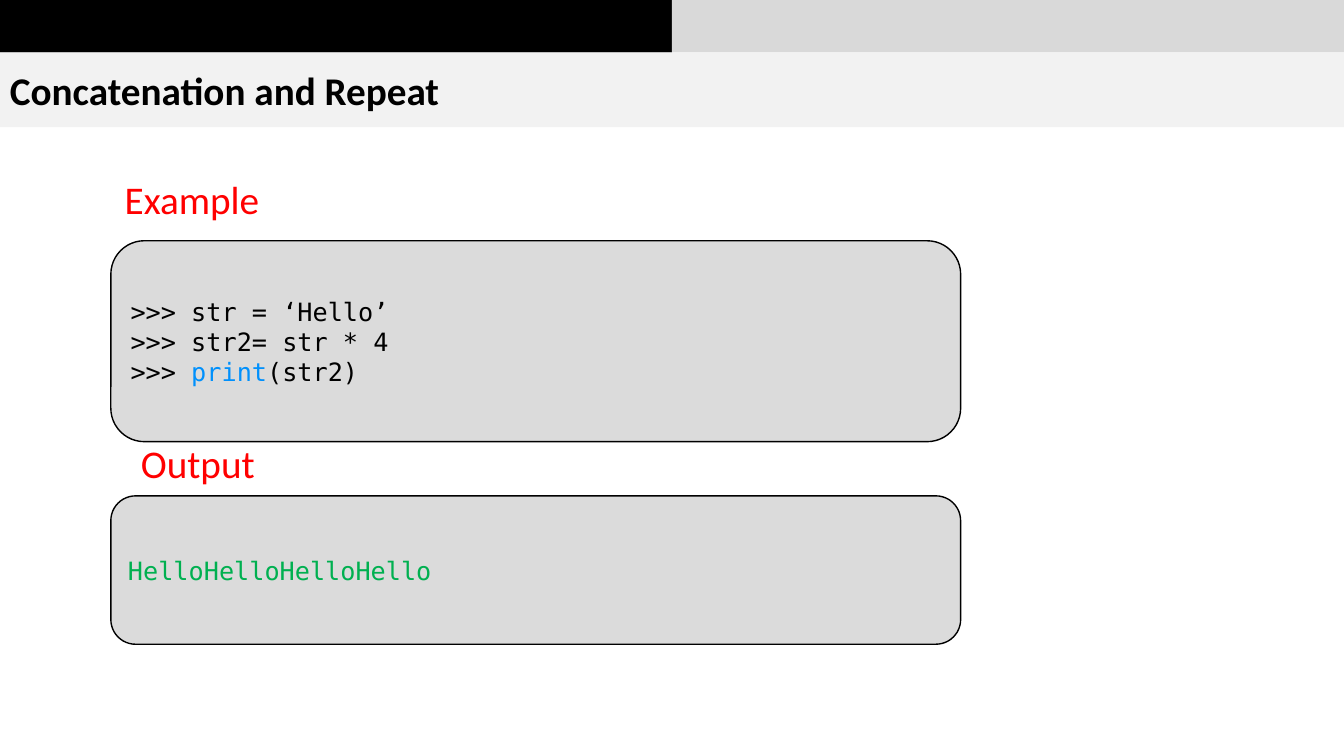
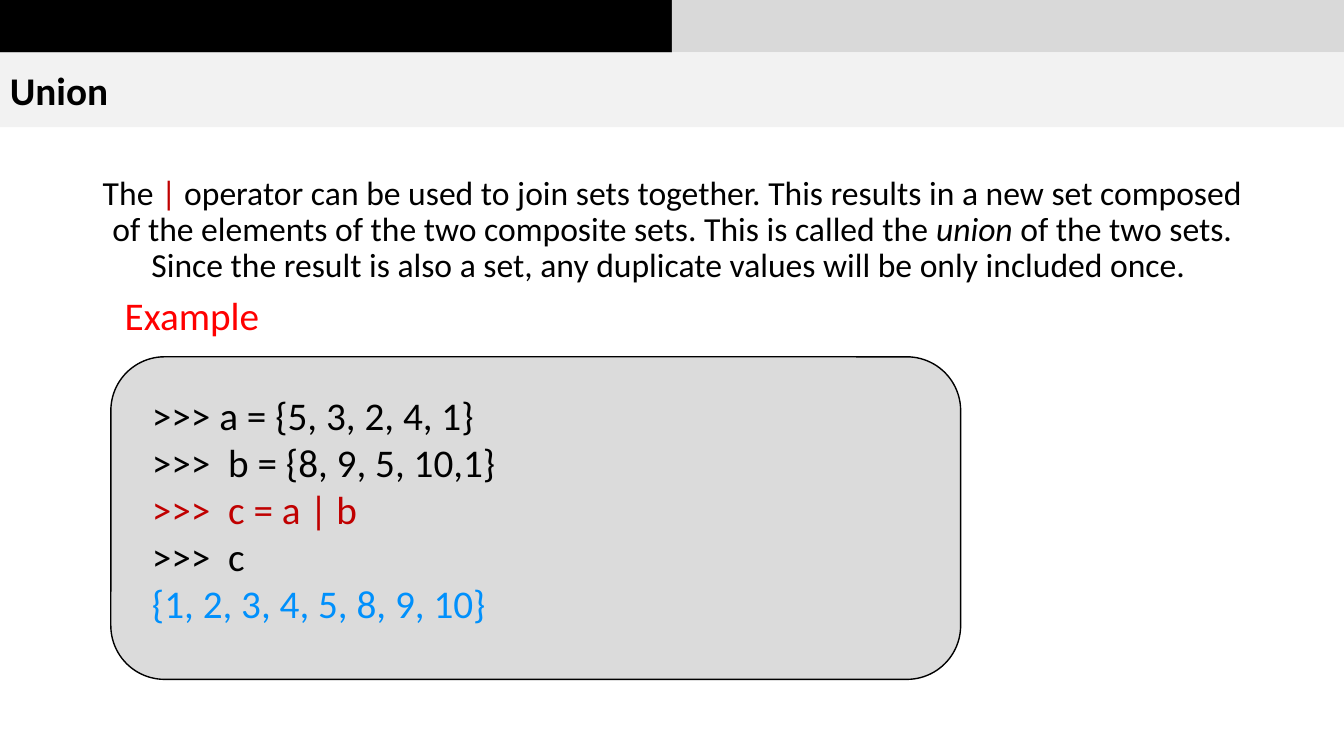
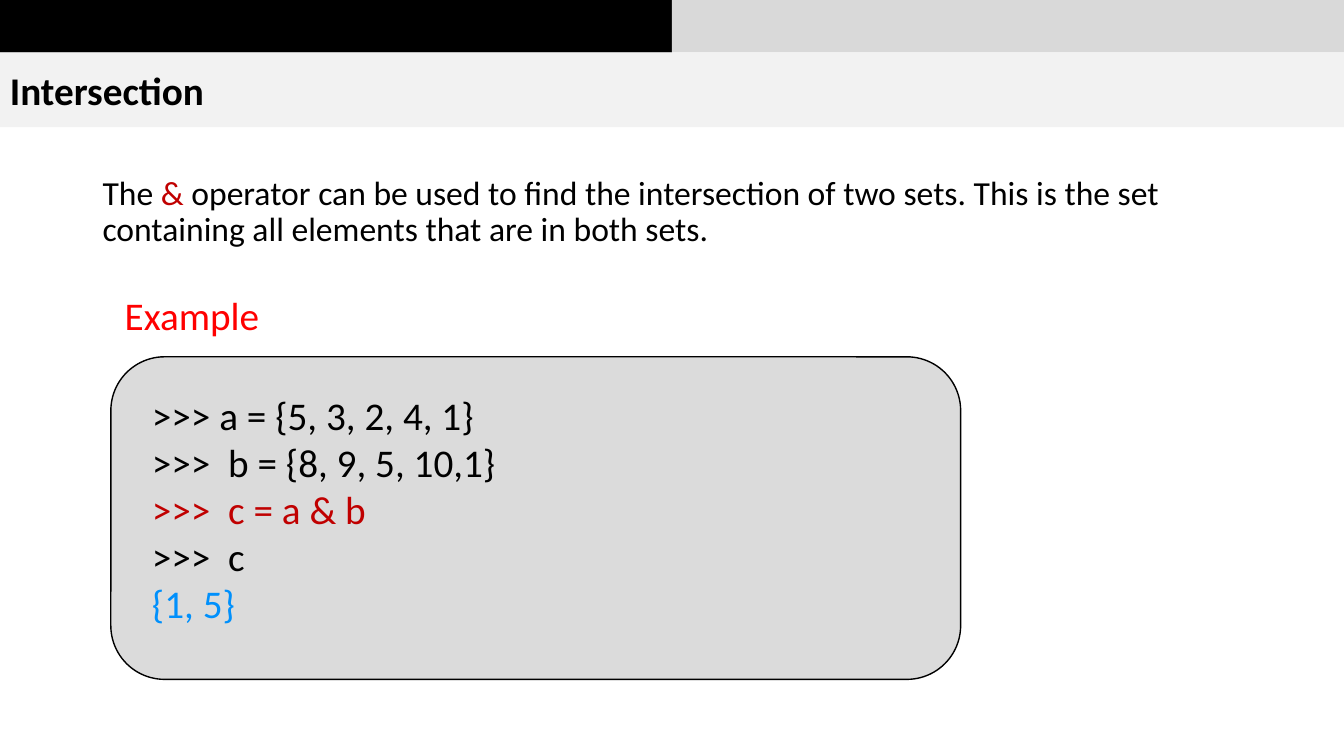
import pptx
import pptx.util
import pptx.dml.color
import pptx.enum.shapes
import pptx.enum.text

Pt = pptx.util.Pt
SHAPE = pptx.enum.shapes.MSO_SHAPE
ALIGN = pptx.enum.text.PP_ALIGN
ANCHOR = pptx.enum.text.MSO_ANCHOR

WIDTH, HEIGHT = 960, 540
BAND, HEAD = 37.5, 53.25
LEFT, WIDE = 79.2, 607
SANS, MONO = "Calibri", "DejaVu Sans Mono"
BLACK, SILVER, PALE, PANEL = "000000", "D9D9D9", "F2F2F2", "DBDBDB"
RED, DARK, BLUE, GREEN = "FF0000", "C00000", "0090FC", "00B050"

# A line is a list of runs: (text, colour) or (text, colour, italic).
REPEAT = [
    [(">>> str = ‘Hello’", BLACK)],
    [(">>> str2= str * 4", BLACK)],
    [(">>> ", BLACK), ("print", BLUE), ("(str2)", BLACK)],
]
PRINTED = [[("HelloHelloHelloHello", GREEN)]]

SETS = [
    {
        "title": "Union",
        "align": ALIGN.CENTER,
        "text": [
            ("The ", BLACK),
            ("|", DARK),
            (" operator can be used to join sets together. This results in a "
             "new set composed of the elements of the two composite sets. "
             "This is called the ", BLACK),
            ("union ", BLACK, True),
            ("of the two sets. Since the result is also a set, any duplicate "
             "values will be only included once. ", BLACK),
        ],
        "sign": "|",
        "result": "{1, 2, 3, 4, 5, 8, 9, 10}",
    },
    {
        "title": "Intersection",
        "align": ALIGN.LEFT,
        "text": [
            ("The ", BLACK),
            ("& ", DARK),
            ("operator can be used to find the intersection of two sets. This "
             "is the set containing all elements that are in both sets.",
             BLACK),
        ],
        "sign": "&",
        "result": "{1, 5}",
    },
]


def color(code):
    return pptx.dml.color.RGBColor.from_string(code)


def write(shape, lines, size, font=SANS, bold=False, align=ALIGN.LEFT):
    """Fill a shape with lines of coloured runs; return its text frame."""
    frame = shape.text_frame
    frame.word_wrap = True
    for i, line in enumerate(lines):
        para = frame.paragraphs[0] if i == 0 else frame.add_paragraph()
        para.alignment = align
        for text, ink, *slant in line:
            run = para.add_run()
            run.text = text
            run.font.name = font
            run.font.size = Pt(size)
            run.font.bold = bold
            run.font.italic = bool(slant)
            run.font.color.rgb = color(ink)
    return frame


def block(slide, kind, box, fill, line=None):
    shape = slide.shapes.add_shape(kind, *map(Pt, box))
    shape.shadow.inherit = False
    shape.fill.solid()
    shape.fill.fore_color.rgb = color(fill)
    if line:
        shape.line.color.rgb = color(line)
        shape.line.width = Pt(1)
    else:
        shape.line.fill.background()
    shape.text_frame.vertical_anchor = ANCHOR.MIDDLE
    return shape


def text_box(slide, box):
    return slide.shapes.add_textbox(*map(Pt, box))


def panel(slide, top, height):
    box = (LEFT, top, WIDE, height)
    return block(slide, SHAPE.ROUNDED_RECTANGLE, box, PANEL, BLACK)


def label(slide, text, left, top, width):
    shape = text_box(slide, (left, top, width, 41.2))
    write(shape, [[(text, RED)]], 28).word_wrap = False


def example(slide, top, height):
    """Draw a code panel with its heading above it."""
    label(slide, "Example", 82, top - 50.4, 118)
    return panel(slide, top, height)


def start(deck, title):
    """Add a slide with the top bands and the title."""
    slide = deck.slides.add_slide(deck.slide_layouts[6])
    half = WIDTH / 2
    for i, fill in enumerate((BLACK, SILVER)):
        block(slide, SHAPE.RECTANGLE, (i * half, 0, half, BAND), fill)
    head = block(slide, SHAPE.RECTANGLE, (0, BAND, WIDTH, HEAD), PALE)
    write(head, [[(title, BLACK)]], 28, bold=True)
    return slide


def repeat_slide(deck):
    slide = start(deck, "Concatenation and Repeat")
    write(example(slide, 172, 143.5), REPEAT, 18, MONO)
    write(panel(slide, 354.2, 106), PRINTED, 18, MONO)
    label(slide, "Output", 93.6, 310.3, 96.5)


def set_slide(deck, item):
    slide = start(deck, item["title"])
    body = text_box(slide, (66.2, 122.4, 828, 342.7))
    frame = write(body, [item["text"]], 24, align=item["align"])
    frame.paragraphs[0].line_spacing = 0.9
    example(slide, 254.9, 230.4)
    code = [
        (">>> a = {5, 3, 2, 4, 1}", BLACK),
        (">>>  b = {8, 9, 5, 10,1}", BLACK),
        (f">>>  c = a {item['sign']} b", DARK),
        (">>>  c", BLACK),
        (item["result"], BLUE),
    ]
    shape = text_box(slide, (101.5, 275.8, 448, 177))
    write(shape, [[run] for run in code], 28)


def main():
    deck = pptx.Presentation()
    deck.slide_width, deck.slide_height = Pt(WIDTH), Pt(HEIGHT)
    repeat_slide(deck)
    for item in SETS:
        set_slide(deck, item)
    deck.save("out.pptx")


if __name__ == "__main__":
    main()
